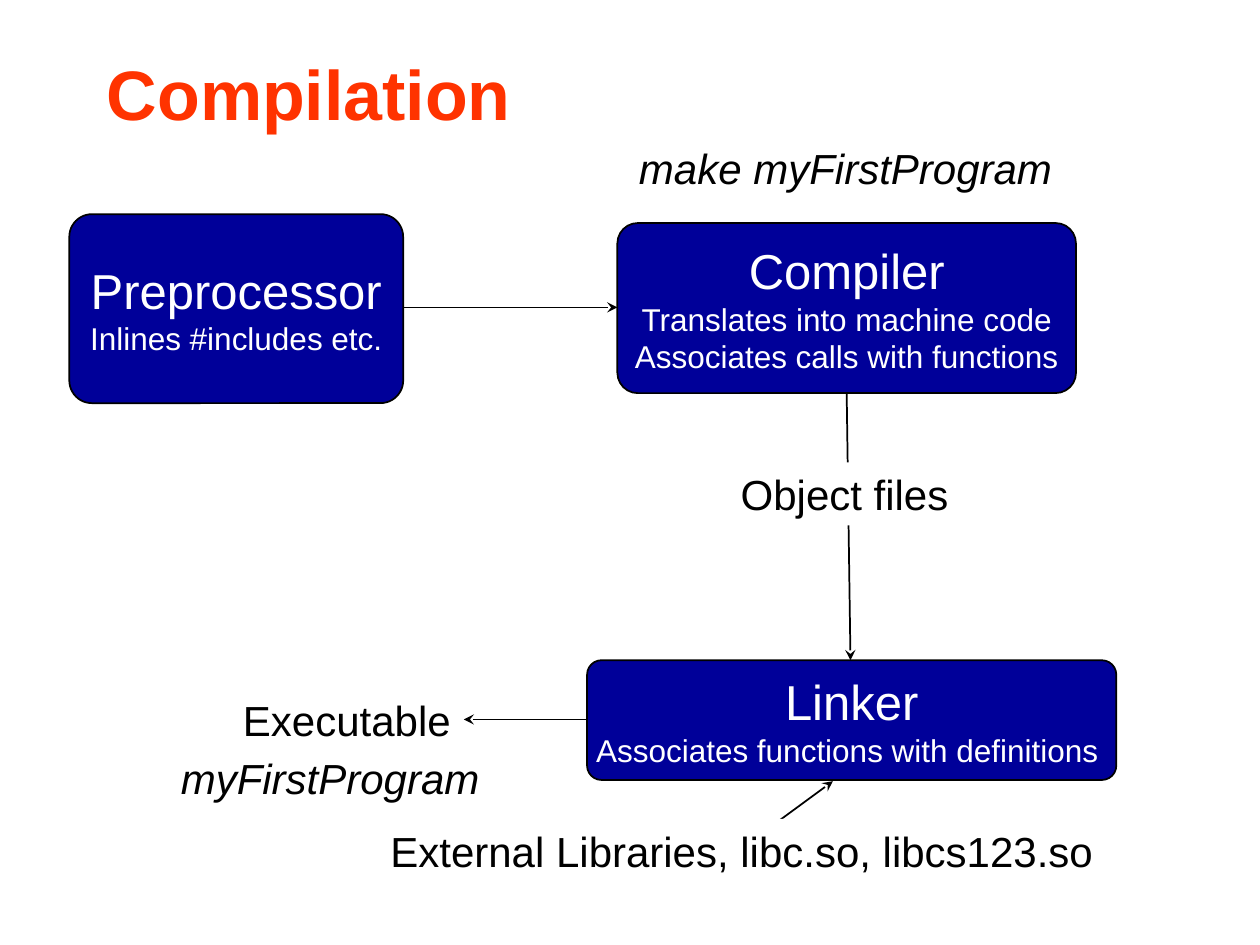
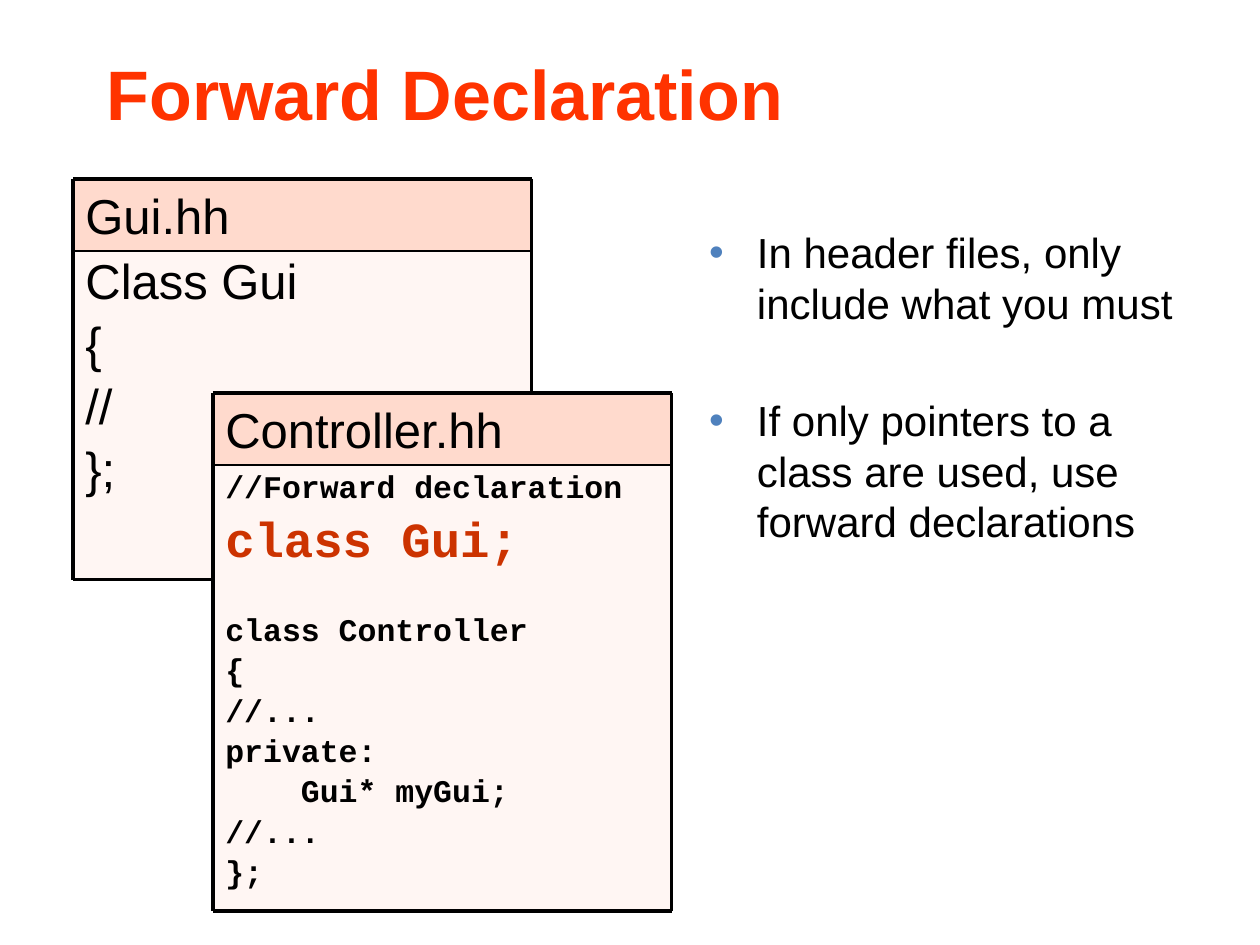
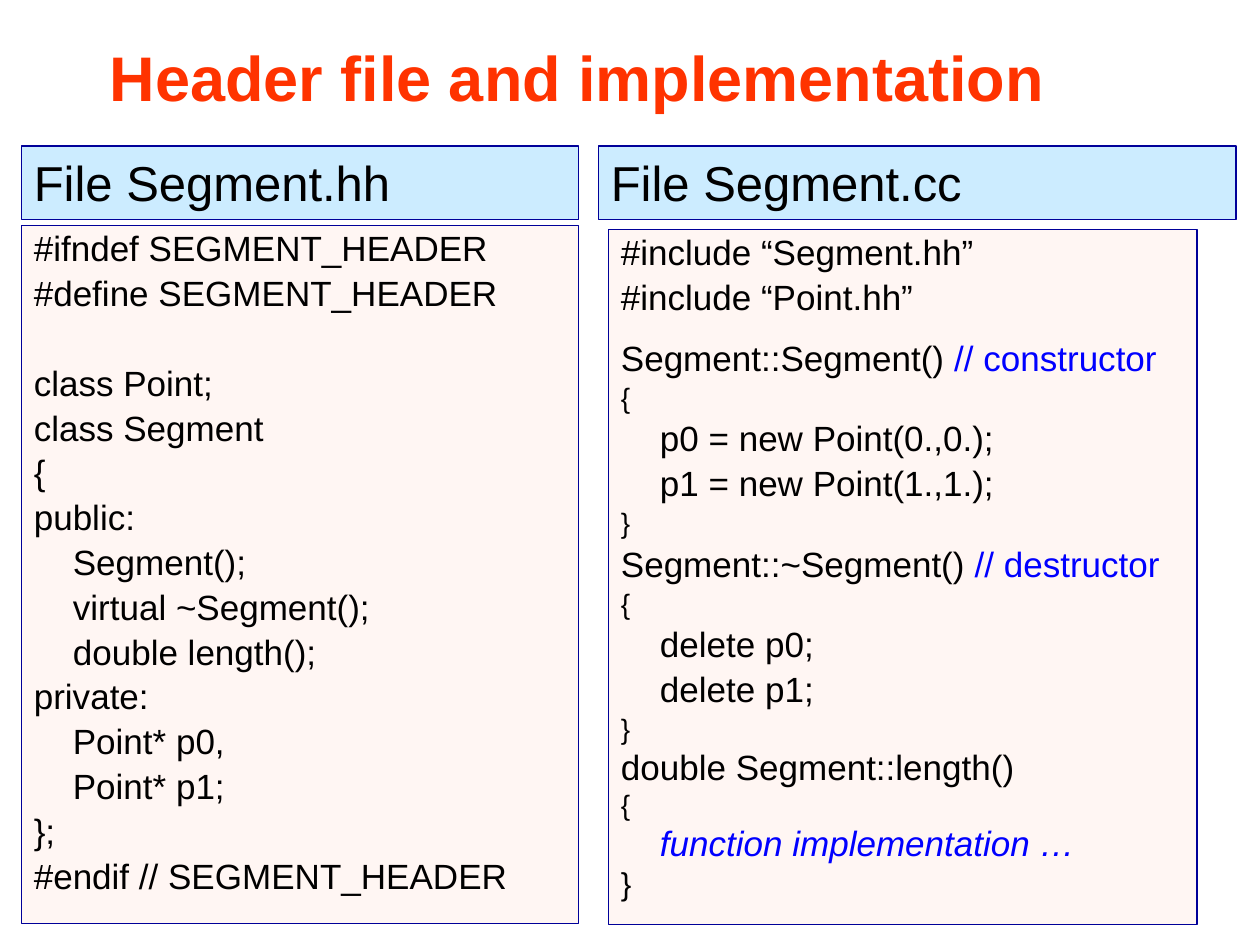
from dataclasses import dataclass
from typing import Optional

from lxml.etree import SubElement
from pptx import Presentation
from pptx.dml.color import RGBColor
from pptx.enum.shapes import MSO_CONNECTOR, MSO_SHAPE
from pptx.enum.text import MSO_ANCHOR, PP_ALIGN
from pptx.oxml.ns import qn
from pptx.util import Inches, Pt

COLORS = {
    "title": "FF3300", "text": "000000", "white": "FFFFFF", "navy": "000099",
    "code": "FFF6F3", "peach": "FFDACD", "sky": "CCECFF",
    "keyword": "CC3300", "comment": "0000FF", "bullet": "4F81BD",
}
SANS, MONO = "Arial", "Courier New"
LINE_HEIGHT = 1.2  # of the font size
CODE_SPACING = 0.9
BEFORE = 0.2  # paragraph gap, of the font size


@dataclass(frozen=True)
class Span:
    """A piece of text in one format."""
    text: str
    size: float = 24
    color: str = "text"
    font: str = SANS
    bold: bool = False
    italic: bool = False


@dataclass(frozen=True)
class Line:
    """A paragraph; skip is the size of an empty line left above it."""
    spans: tuple[Span, ...]
    before: float = BEFORE
    spacing: Optional[float] = None
    indent: float = 0
    skip: float = 0
    bullet: bool = False
    align: PP_ALIGN = PP_ALIGN.LEFT


@dataclass(frozen=True)
class Box:
    """A rectangle in inches."""
    left: float
    top: float
    width: float
    height: float

    @property
    def right(self) -> float:
        """Right edge."""
        return self.left + self.width

    @property
    def bottom(self) -> float:
        """Bottom edge."""
        return self.top + self.height

    def lengths(self) -> tuple:
        """Position and size as lengths."""
        return tuple(Inches(v) for v in (self.left, self.top, self.width, self.height))


@dataclass(frozen=True)
class Stage:
    """A step of the build: name and what it does."""
    box: Box
    name: str
    tasks: tuple[str, ...]


@dataclass(frozen=True)
class Arrow:
    """A line with a head at its end."""
    start: tuple[float, float]
    end: tuple[float, float]


@dataclass(frozen=True)
class FileCard:
    """A file name band above its code."""
    box: Box
    name: str
    code: tuple[Line, ...]


def rgb(name: str) -> RGBColor:
    """Look up a colour."""
    return RGBColor.from_string(COLORS[name])


def add_bullet(paragraph) -> None:
    """Give a paragraph a hanging bullet."""
    props = paragraph._p.get_or_add_pPr()
    props.set("marL", str(Inches(0.38)))
    props.set("indent", str(-Inches(0.38)))
    SubElement(SubElement(props, qn("a:buClr")), qn("a:srgbClr"), val=COLORS["bullet"])
    SubElement(props, qn("a:buFont"), typeface=SANS)
    SubElement(props, qn("a:buChar"), char="•")


def write(shape, lines, anchor=MSO_ANCHOR.TOP, wrap=True, inset=(0.1, 0.05)) -> None:
    """Fill a shape with paragraphs."""
    frame = shape.text_frame
    side, edge = (Inches(v) for v in inset)
    layout = {"word_wrap": wrap, "vertical_anchor": anchor,
              "margin_left": side, "margin_right": side,
              "margin_top": edge, "margin_bottom": edge}
    for name, value in layout.items():
        setattr(frame, name, value)
    for number, line in enumerate(lines):
        paragraph = frame.add_paragraph() if number else frame.paragraphs[0]
        spacing = line.spacing or 1
        skipped = line.skip * (LINE_HEIGHT * spacing + line.before)
        form = {"alignment": line.align, "line_spacing": spacing,
                "space_before": Pt(round(line.before * line.spans[0].size + skipped, 1))}
        for name, value in form.items():
            setattr(paragraph, name, value)
        if line.indent:
            paragraph._p.get_or_add_pPr().set("marL", str(Inches(line.indent)))
        if line.bullet:
            add_bullet(paragraph)
        for span in line.spans:
            run = paragraph.add_run()
            run.text = span.text
            form = {"name": span.font, "size": Pt(span.size),
                    "bold": span.bold, "italic": span.italic}
            for name, value in form.items():
                setattr(run.font, name, value)
            run.font.color.rgb = rgb(span.color)


def add_panel(slide, box: Box, fill: str, border: Optional[str] = None,
              weight: float = 0.75, kind=MSO_SHAPE.RECTANGLE):
    """Draw a filled shape, with a border if one is named."""
    panel = slide.shapes.add_shape(kind, *box.lengths())
    panel.shadow.inherit = False
    panel.fill.solid()
    panel.fill.fore_color.rgb = rgb(fill)
    if border:
        panel.line.color.rgb = rgb(border)
        panel.line.width = Pt(weight)
    else:
        panel.line.fill.background()
    return panel


def add_rule(slide, start, end, weight: float = 1, head: bool = False) -> None:
    """Draw a straight black line, with an arrowhead if asked."""
    rule = slide.shapes.add_connector(
        MSO_CONNECTOR.STRAIGHT, *(Inches(v) for v in (*start, *end)))
    rule.line.color.rgb = rgb("text")
    rule.line.width = Pt(weight)
    if head:
        SubElement(rule.line._get_or_add_ln(), qn("a:tailEnd"), type="stealth")
    SubElement(rule._element.spPr, qn("a:effectLst"))


def add_text(slide, box: Box, lines, **layout) -> None:
    """Add a text box."""
    write(slide.shapes.add_textbox(*box.lengths()), lines, **layout)


def add_slide(deck, title: str, left=0.75, top=0.38, size=40, align=PP_ALIGN.LEFT):
    """Add a blank slide with its title."""
    slide = deck.slides.add_slide(deck.slide_layouts[6])
    heading = Line((Span(title, size, "title", bold=True),), 0, align=align)
    add_text(slide, Box(left, top, 8.5, 0.71), [heading], anchor=MSO_ANCHOR.MIDDLE)
    return slide


def add_stage(slide, stage: Stage) -> None:
    """Draw a rounded box for a build step."""
    panel = add_panel(slide, stage.box, "navy", "text", 1, MSO_SHAPE.ROUNDED_RECTANGLE)
    panel.adjustments[0] = 0.12
    spans = [Span(stage.name, 28, "white")]
    spans += [Span(task, 18, "white") for task in stage.tasks]
    write(panel, [Line((span,), 0, align=PP_ALIGN.CENTER) for span in spans],
          anchor=MSO_ANCHOR.MIDDLE, wrap=False, inset=(0, 0))


def add_card(slide, card: FileCard) -> None:
    """Draw a framed file card."""
    box, band = card.box, 0.57
    split = box.top + band
    write(add_panel(slide, Box(box.left, split, box.width, box.height - band), "code"),
          card.code)
    write(add_panel(slide, Box(box.left, box.top, box.width, band), "peach"),
          [Line((Span(card.name, 28),))])
    for level, weight in ((box.top, 2), (split, 1), (box.bottom, 2)):
        add_rule(slide, (box.left, level), (box.right, level), weight)
    for side in (box.left, box.right):
        add_rule(slide, (side, box.top), (side, box.bottom), 2)


def add_listing(slide, header: Box, name: str, body: Box, code) -> None:
    """Draw a file name band and its code panel."""
    write(add_panel(slide, body, "code", "navy"), code)
    write(add_panel(slide, header, "sky", "navy"), [Line((Span(name, 28),))])


def code(text: str, size: float = 20, note: str = "", indent: float = 0,
         skip: float = 0) -> Line:
    """A line of sans code with an optional blue comment."""
    spans = (Span(text, size),)
    if note:
        spans += (Span(note, size, "comment"),)
    return Line(spans, spacing=CODE_SPACING, indent=indent, skip=skip)


def mono(text: str, size: float = 18, color: str = "text", indent: float = 0,
         skip: float = 0) -> Line:
    """A line of bold monospaced code."""
    return Line((Span(text, size, color, MONO, True),), spacing=CODE_SPACING,
                indent=indent, skip=skip)


STAGES = (
    Stage(Box(0.55, 1.7, 2.65, 1.5), "Preprocessor", ("Inlines #includes etc.",)),
    Stage(Box(4.9, 1.77, 3.64, 1.35), "Compiler",
          ("Translates into machine code", "Associates calls with functions")),
    Stage(Box(4.66, 5.24, 4.2, 0.95), "Linker",
          ("Associates functions with definitions ",)),
)
ARROWS = (
    Arrow((3.2, 2.44), (4.9, 2.44)),
    Arrow((6.72, 3.12), (6.75, 5.24)),
    Arrow((4.66, 5.71), (3.68, 5.71)),
    Arrow((6.12, 6.56), (6.61, 6.2)),
)
PRODUCTS = (
    ("Object files", Box(5.78, 3.67, 1.85, 0.5)),
    ("Executable", Box(1.83, 5.46, 1.85, 0.5)),
    ("External Libraries, libc.so, libcs123.so", Box(3, 6.5, 5.78, 0.5)),
)
COMMANDS = (
    ("make myFirstProgram", Box(4.92, 1.08, 3.58, 0.5)),
    ("myFirstProgram", Box(0.83, 5.92, 3.58, 0.5)),
)
CARDS = (
    FileCard(Box(0.58, 1.42, 3.64, 3.18), "Gui.hh",
             tuple(code(text, 28) for text in ("Class Gui", "{", "//", "};"))),
    FileCard(Box(1.69, 3.12, 3.64, 4.11), "Controller.hh", (
        mono("//Forward declaration"),
        mono("class Gui;", 28, "keyword"),
        mono("class Controller", skip=18),
        mono("{"),
        mono("//..."),
        mono("private:"),
        mono("Gui* myGui;", indent=0.6),
        mono("//..."),
        mono("};"),
    )),
)
ADVICE = (
    Line((Span("In header files, only include what you must"),), bullet=True),
    Line((Span("If only pointers to a class are used, use forward declarations"),),
         skip=24, bullet=True),
)
STEP = 0.31  # code indent
HEADER_CODE = (
    code("#ifndef SEGMENT_HEADER"),
    code("#define SEGMENT_HEADER"),
    code("class Point;", skip=20),
    code("class Segment"),
    code("{"),
    code("public:"),
    *(code(text, indent=STEP)
      for text in ("Segment();", "virtual ~Segment();", "double length();")),
    code("private:"),
    *(code(text, indent=STEP) for text in ("Point* p0,", "Point* p1;")),
    code("};"),
    code("#endif // SEGMENT_HEADER"),
)
SOURCE_CODE = (
    code("#include “Segment.hh”"),
    code("#include “Point.hh”"),
    code("Segment::Segment() ", note="// constructor", skip=7),
    code("{", 16),
    *(code(f"p{n} = new Point({n}.,{n}.);", indent=STEP) for n in (0, 1)),
    code("}", 16),
    code("Segment::~Segment() ", note="// destructor"),
    code("{", 16),
    *(code(f"delete p{n};", indent=STEP) for n in (0, 1)),
    code("}", 16),
    Line((Span("double Segment::length()", 20),), 0),
    Line((Span("{", 16),), 0),
    Line((Span("function implementation …", 20, "comment", italic=True),), 0, indent=STEP),
    Line((Span("}", 18),), 0),
)


def build_compilation(deck) -> None:
    """Slide with the steps from source to executable."""
    slide = add_slide(deck, "Compilation")
    for stage in STAGES:
        add_stage(slide, stage)
    for arrow in ARROWS:
        add_rule(slide, arrow.start, arrow.end, head=True)
    for text, box in PRODUCTS:
        write(add_panel(slide, box, "white"), [Line((Span(text),), 0)], wrap=False)
    for text, box in COMMANDS:
        add_text(slide, box, [Line((Span(text, italic=True),), 0.5, align=PP_ALIGN.CENTER)])


def build_declaration(deck) -> None:
    """Slide with two overlapping header files and advice."""
    slide = add_slide(deck, "Forward Declaration")
    add_text(slide, Box(5.53, 1.75, 4.17, 4.95), ADVICE)
    for card in CARDS:
        add_card(slide, card)


def build_implementation(deck) -> None:
    """Slide with a header file beside its source file."""
    slide = add_slide(deck, "Header file and implementation", 0.33, 0.25, 36,
                      PP_ALIGN.CENTER)
    add_listing(slide, Box(0.17, 1.16, 4.42, 0.58), "File Segment.hh",
                Box(0.17, 1.79, 4.42, 5.54), HEADER_CODE)
    add_listing(slide, Box(4.75, 1.16, 5.06, 0.58), "File Segment.cc",
                Box(4.83, 1.82, 4.67, 5.52), SOURCE_CODE)


def main() -> None:
    """Build and save the deck."""
    deck = Presentation()
    deck.slide_width, deck.slide_height = Inches(10), Inches(7.5)
    for build in (build_compilation, build_declaration, build_implementation):
        build(deck)
    deck.save("out.pptx")


main()
